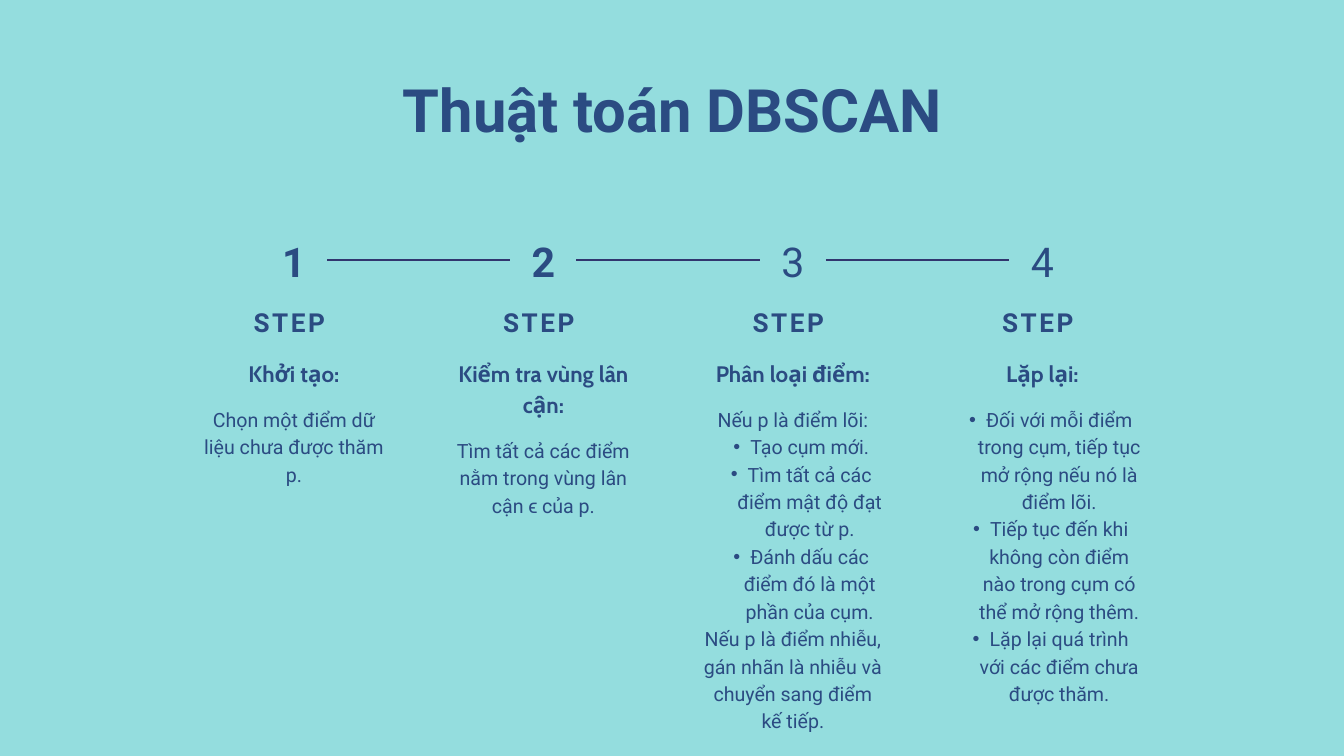
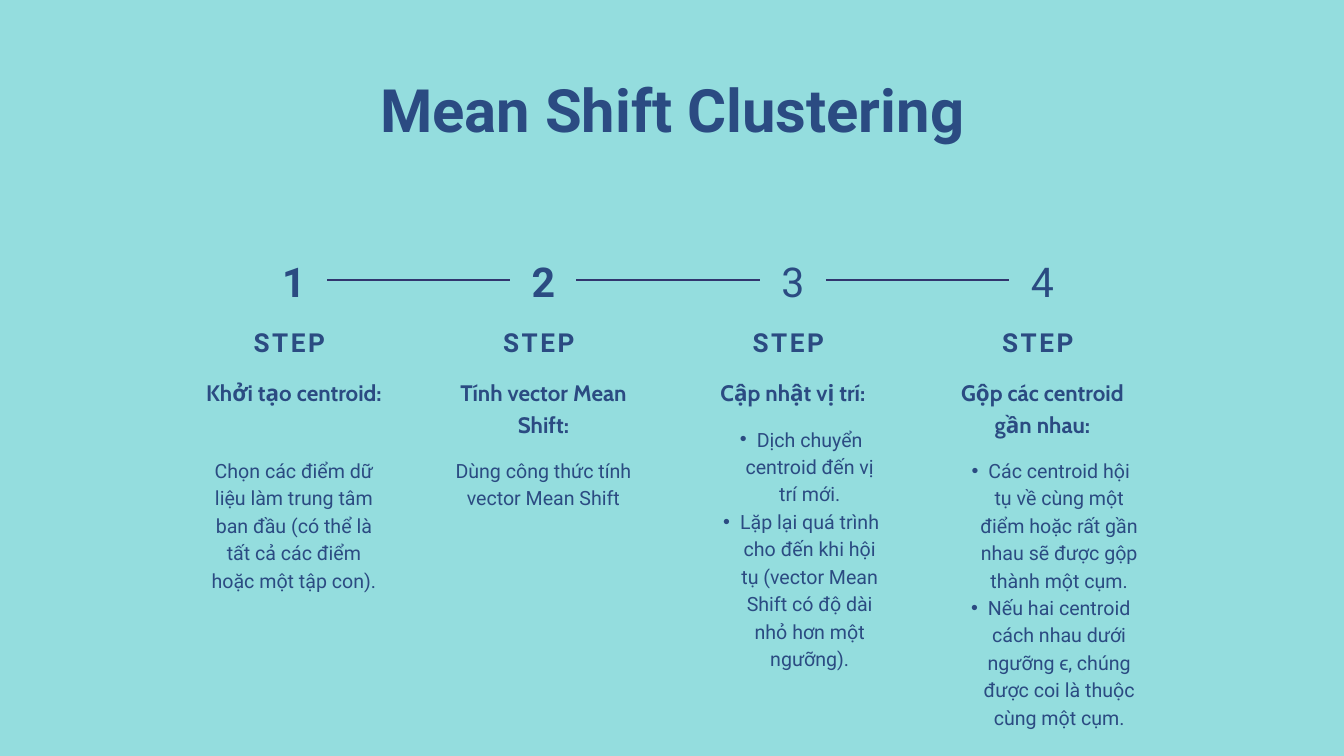
import pptx
import pptx.dml.color
import pptx.enum.shapes
import pptx.enum.text
import pptx.oxml
import pptx.oxml.ns
import pptx.util
from lxml import etree
from pptx.util import Cm, Pt

# Shared look
BACKGROUND = "94DDDE"
INK = "2B4B82"
LINE_INK = "31356E"
BODY_FONT = "Roboto"
HEADING_FONT = "Cabin"
BULLET = "• "
HEADING_LEADING = Pt(33.6)
BODY_LEADING = Pt(29.4)

# Shared grid: every step is centred under its number
FIRST_NUMBER_LEFT = Cm(9.86)
STEP_PITCH = Cm(9.43)
NUMBER_WIDTH = Cm(2.5)
COLUMN_WIDTHS = [Cm(6.83), Cm(6.68), Cm(6.83), Cm(7.44)]

# Each step: heading, lines kept for the heading, body, lines kept for the body
DBSCAN_STEPS = [
    ("Khởi tạo:", 1, ["Chọn một điểm dữ liệu chưa được thăm p."], 3),
    ("Kiểm tra vùng lân cận:", 2,
     ["Tìm tất cả các điểm nằm trong vùng lân cận ϵ của p."], 3),
    ("Phân loại điểm:", 1,
     ["Nếu p là điểm lõi:",
      "• Tạo cụm mới.",
      "• Tìm tất cả các điểm mật độ đạt được từ p.",
      "• Đánh dấu các điểm đó là một phần của cụm.",
      "Nếu p là điểm nhiễu, gán nhãn là nhiễu và chuyển sang điểm kế tiếp."], 13),
    ("Lặp lại:", 1,
     ["• Đối với mỗi điểm trong cụm, tiếp tục mở rộng nếu nó là điểm lõi.",
      "• Tiếp tục đến khi không còn điểm nào trong cụm có thể mở rộng thêm.",
      "• Lặp lại quá trình với các điểm chưa được thăm."], 13),
]
MEAN_SHIFT_STEPS = [
    ("Khởi tạo centroid:", 2,
     ["Chọn các điểm dữ liệu làm trung tâm ban đầu "
      "(có thể là tất cả các điểm hoặc một tập con)."], 5),
    ("Tính vector Mean Shift:", 2, ["Dùng công thức tính vector Mean Shift"], 3),
    ("Cập nhật vị trí:", 1,
     ["• Dịch chuyển centroid đến vị trí mới.",
      "• Lặp lại quá trình cho đến khi hội tụ "
      "(vector Mean Shift có độ dài nhỏ hơn một ngưỡng)."], 9),
    ("Gộp các centroid gần nhau:", 2,
     ["• Các centroid hội tụ về cùng một điểm hoặc rất gần nhau "
      "sẽ được gộp thành một cụm.",
      "• Nếu hai centroid cách nhau dưới ngưỡng ϵ, "
      "chúng được coi là thuộc cùng một cụm."], 10),
]


def color(hex_code):
    return pptx.dml.color.RGBColor.from_string(hex_code)


def add_bullet(paragraph):
    paragraph.level = 1
    properties = paragraph._p.get_or_add_pPr()
    properties.set("marL", str(Cm(1.27)))
    properties.set("indent", str(-Cm(0.64)))
    bullet_font = etree.SubElement(properties, pptx.oxml.ns.qn("a:buFont"))
    bullet_font.set("typeface", "Arial")
    etree.SubElement(properties, pptx.oxml.ns.qn("a:buChar")).set("char", BULLET.strip())


def add_text(shapes, paragraphs, left, top, width, height, *, size, leading,
             font=BODY_FONT, bold=False, tracking=0, middle=False):
    """Add centred text; paragraphs that start with the bullet sign get a bullet."""
    box = shapes.add_textbox(left, top, width, height)
    frame = box.text_frame
    frame.word_wrap = True
    frame.margin_left = frame.margin_right = frame.margin_top = frame.margin_bottom = 0
    if middle:
        frame.vertical_anchor = pptx.enum.text.MSO_ANCHOR.MIDDLE
    else:
        frame.auto_size = pptx.enum.text.MSO_AUTO_SIZE.SHAPE_TO_FIT_TEXT
    for index, text in enumerate(paragraphs):
        paragraph = frame.add_paragraph() if index else frame.paragraphs[0]
        paragraph.alignment = pptx.enum.text.PP_ALIGN.CENTER
        paragraph.line_spacing = leading
        if text.startswith(BULLET):
            add_bullet(paragraph)
        run = paragraph.add_run()
        run.text = text.removeprefix(BULLET)
        run.font.name = font
        run.font.size = Pt(size)
        run.font.bold = bold
        run.font.color.rgb = color(INK)
        if tracking:
            run._r.get_or_add_rPr().set("spc", str(round(tracking * 100)))


def add_number(slide, number, left, shift):
    """Add a step number; all but the first stand on a plate, which is returned."""
    shapes = slide.shapes.add_group_shape().shapes
    plate = None
    if number > 1:
        plate = shapes.add_shape(pptx.enum.shapes.MSO_SHAPE.RECTANGLE,
                                 left, Cm(8.61) + shift, NUMBER_WIDTH, Cm(2.46))
        plate.shadow.inherit = False
        plate.fill.solid()
        plate.fill.fore_color.rgb = color(BACKGROUND)
        plate.line.fill.background()
    add_text(shapes, [str(number)], left, Cm(8.38) + shift, NUMBER_WIDTH, Cm(2.69),
             size=44, leading=Pt(61.6), bold=number <= 2, tracking=7.5, middle=True)
    return plate


def add_link(slide, start_x, start_plate, end_plate, shift):
    """Add the line that leads from one number to the next."""
    y = Cm(9.84) + shift
    link = slide.shapes.add_connector(pptx.enum.shapes.MSO_CONNECTOR.STRAIGHT,
                                      start_x, y, end_plate.left, y)
    link.line.color.rgb = color(LINE_INK)
    link.line.width = Pt(2.25)
    etree.SubElement(link._element.spPr, pptx.oxml.ns.qn("a:effectLst"))
    if start_plate is not None:
        link.begin_connect(start_plate, 3)
    link.end_connect(end_plate, 1)


def add_step_column(slide, step, center, width, shift):
    """Add the STEP label, heading and body below a number."""
    heading, heading_lines, body, body_lines = step
    shapes = slide.shapes.add_group_shape().shapes
    left = center - width // 2
    body_top = Cm(15.26) + shift + HEADING_LEADING * (heading_lines - 1)
    add_text(shapes, ["STEP "], left, Cm(11.39) + shift, width, Cm(1.3),
             size=28, leading=Pt(39.2), bold=True, tracking=2.8)
    add_text(shapes, body, left, body_top, width, BODY_LEADING * body_lines - Cm(0.1),
             size=21, leading=BODY_LEADING)
    add_text(shapes, [heading], left, Cm(13.43) + shift, width,
             HEADING_LEADING * heading_lines - Cm(0.1),
             size=24, leading=HEADING_LEADING, font=HEADING_FONT, bold=True)


def add_steps_slide(deck, title, steps, shift):
    slide = deck.slides.add_slide(deck.slide_layouts[6])
    slide.background.fill.solid()
    slide.background.fill.fore_color.rgb = color(BACKGROUND)
    add_text(slide.shapes, [title], Cm(3), Cm(3.1), Cm(44.83), Cm(2.46),
             size=64, leading=Pt(67.2), bold=True)
    previous_plate = None
    for index, (step, width) in enumerate(zip(steps, COLUMN_WIDTHS)):
        left = FIRST_NUMBER_LEFT + STEP_PITCH * index
        plate = add_number(slide, index + 1, left, shift)
        if index:
            add_link(slide, left - STEP_PITCH + NUMBER_WIDTH, previous_plate, plate, shift)
        add_step_column(slide, step, left + NUMBER_WIDTH // 2, width, shift)
        previous_plate = plate


def main():
    deck = pptx.Presentation()
    deck.slide_width = Cm(50.8)
    deck.slide_height = Cm(28.58)
    add_steps_slide(deck, "Thuật toán DBSCAN", DBSCAN_STEPS, Cm(0))
    add_steps_slide(deck, "Mean Shift Clustering", MEAN_SHIFT_STEPS, Cm(0.75))
    deck.save("out.pptx")


if __name__ == "__main__":
    main()
